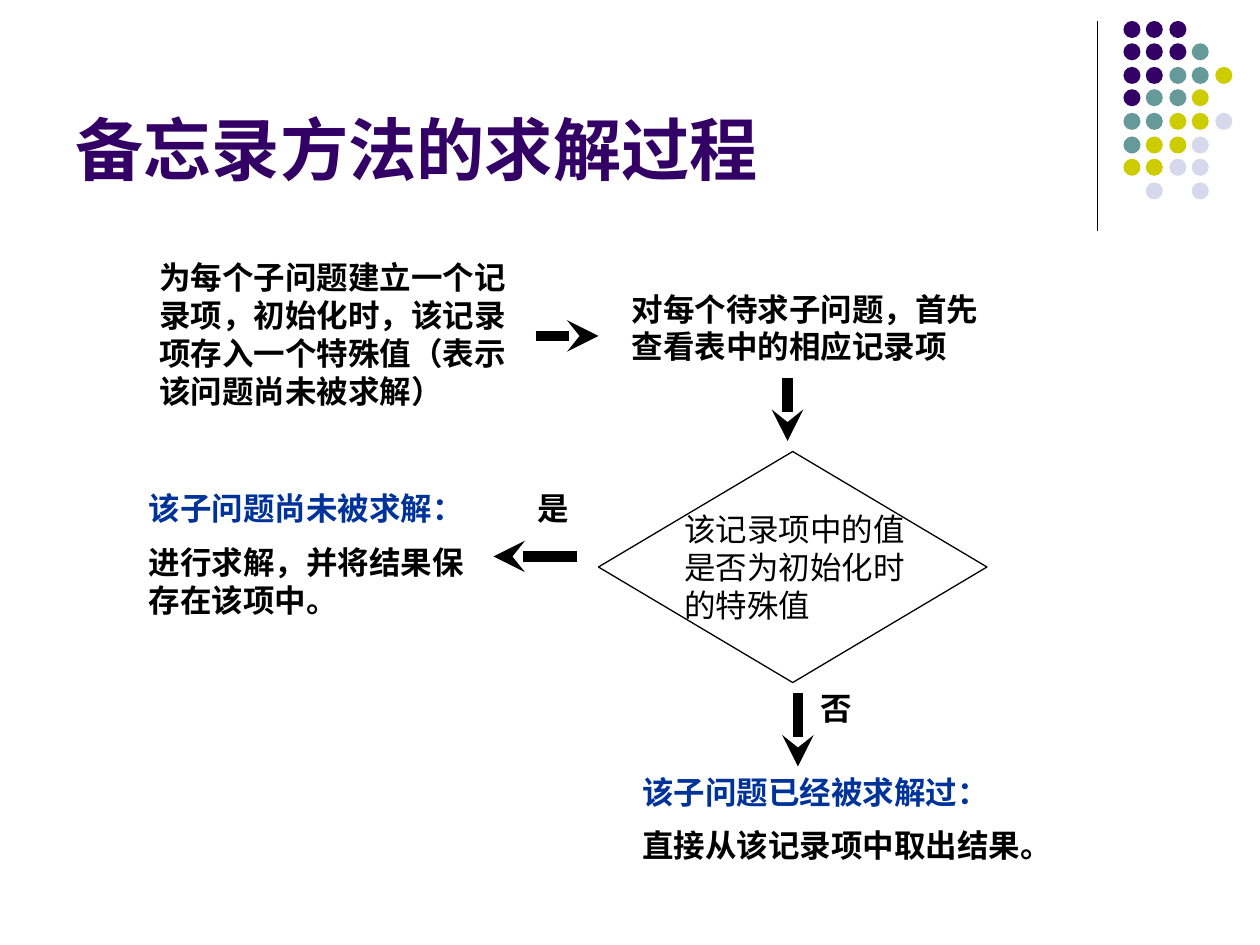
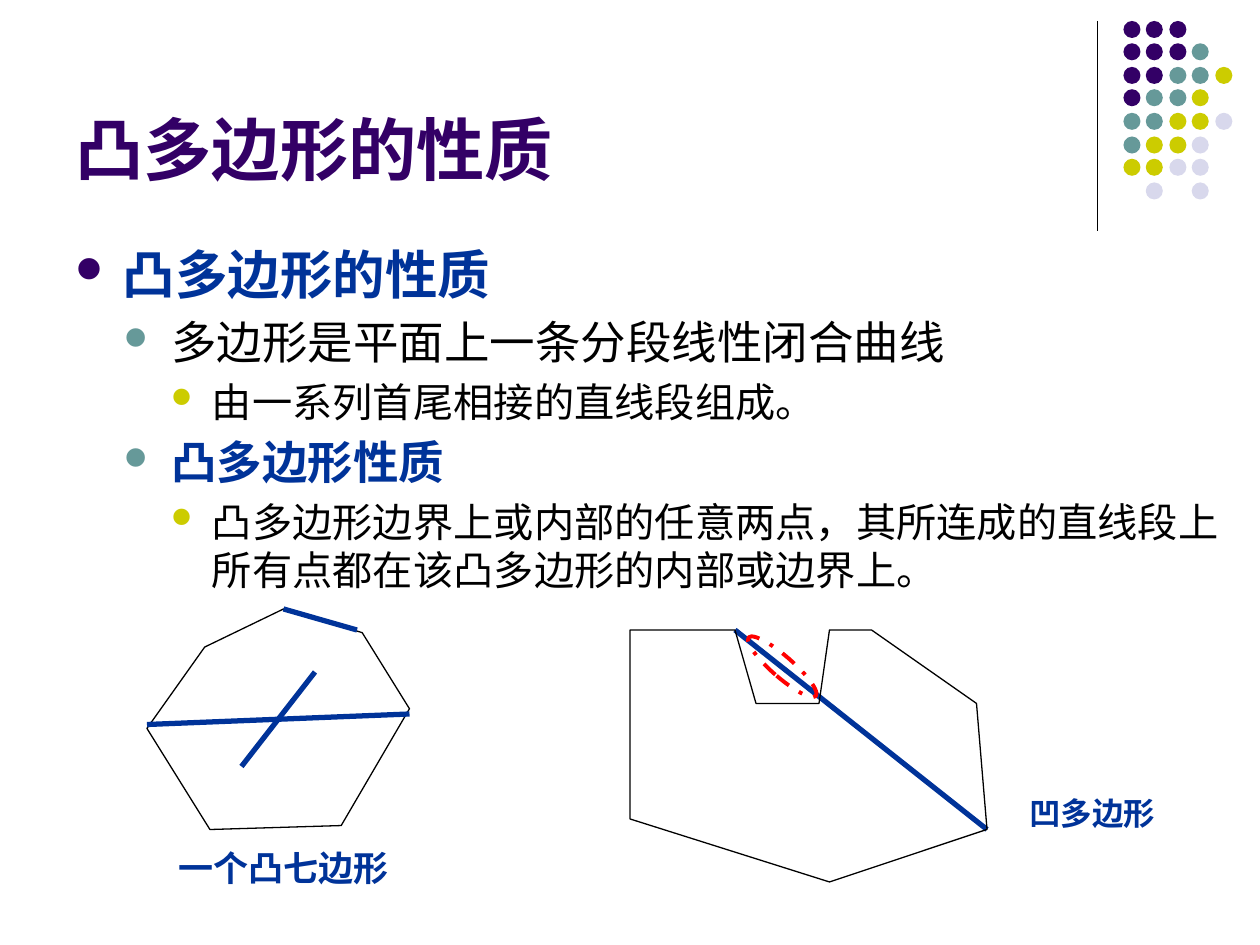
from lxml import etree
from pptx import Presentation, util as u
from pptx.dml.color import RGBColor
from pptx.enum import dml, shapes, text
from pptx.oxml.ns import qn

PX = 9525
FONT = "Arial"
COLORS = {
    "purple": "330066", "teal": "669999", "olive": "CCCC00", "lilac": "D8D8EC",
    "blue": "003399", "black": "000000", "red": "FF0000",
}
RGB = {name: RGBColor.from_string(value) for name, value in COLORS.items()}
DOT_COLORS = {"P": "purple", "T": "teal", "O": "olive", "L": "lilac"}
DOT_ROWS = ["PPP", "PPPT", "PPTTO", "PTTO", "TTOOL", "TOOL", "OOLL", " L L"]


def add_text(slide, box, lines, size=18, bold=True, align=None):
    shape = slide.shapes.add_textbox(*[value * PX for value in box])
    frame = shape.text_frame
    frame.word_wrap = True
    frame.text = "\n".join(line for line, color in lines)
    for index, (paragraph, (line, color)) in enumerate(zip(frame.paragraphs, lines)):
        paragraph.alignment = align
        if index:
            paragraph.space_before = u.Pt(size / 2)
        font = paragraph.runs[0].font
        font.name, font.size, font.bold = FONT, u.Pt(size), bold
        font.color.rgb = RGB[color]
    return shape


def add_line(slide, ends, color, width, arrow=False):
    line = slide.shapes.add_connector(
        shapes.MSO_CONNECTOR.STRAIGHT, *[value * PX for value in ends])
    line.line.color.rgb = RGB[color]
    line.line.width = u.Pt(width)
    if arrow:
        etree.SubElement(line.line._get_or_add_ln(), qn("a:tailEnd"), type="stealth")
    etree.SubElement(line._element.spPr, qn("a:effectLst"))


presentation = Presentation()
presentation.slide_width = 960 * PX
presentation.slide_height = 720 * PX

for title in ["备忘录方法的求解过程", "凸多边形的性质"]:
    slide = presentation.slides.add_slide(presentation.slide_layouts[6])
    add_line(slide, (836, 16, 836, 176), "black", 0.75)
    for row, dots in enumerate(DOT_ROWS):
        for column, dot in enumerate(dots):
            if dot == " ":
                continue
            left, top = 856 + column * 88 // 5, 16 + row * 88 // 5
            shape = slide.shapes.add_shape(
                shapes.MSO_SHAPE.OVAL, left * PX, top * PX, 13 * PX, 13 * PX)
            shape.shadow.inherit = False
            shape.fill.solid()
            shape.fill.fore_color.rgb = RGB[DOT_COLORS[dot]]
            shape.line.fill.background()
    heading = add_text(slide, (48, 12, 792, 137), [(title, "purple")], size=39)
    heading.text_frame.vertical_anchor = text.MSO_ANCHOR.BOTTOM

memo_slide, polygon_slide = presentation.slides

diamond = memo_slide.shapes.add_shape(
    shapes.MSO_SHAPE.DIAMOND, 456 * PX, 344 * PX, 296 * PX, 176 * PX)
diamond.shadow.inherit = False
diamond.fill.background()
diamond.line.color.rgb = RGB["black"]
diamond.line.width = u.Pt(0.75)
add_text(memo_slide, (512, 384, 192, 96),
         [("该记录项中的值是否为初始化时的特殊值", "black")], bold=False)

steps = [
    ((112, 192, 288, 125),
     [("为每个子问题建立一个记录项，初始化时，该记录项存入一个特殊值（表示该问题尚未被求解）", "black")]),
    ((472, 216, 288, 67), [("对每个待求子问题，首先查看表中的相应记录项", "black")]),
    ((104, 368, 272, 110),
     [("该子问题尚未被求解：", "blue"), ("进行求解，并将结果保存在该项中。", "black")]),
    ((480, 584, 352, 82),
     [("该子问题已经被求解过：", "blue"), ("直接从该记录项中取出结果。", "black")]),
    ((400, 368, 48, 38), [("是", "black")]),
    ((616, 520, 48, 38), [("否", "black")]),
]
for box, lines in steps:
    add_text(memo_slide, box, lines)

for ends in [(408, 256, 456, 256), (600, 288, 600, 336),
             (440, 424, 376, 424), (608, 528, 608, 584)]:
    add_line(memo_slide, ends, "black", 6, arrow=True)

levels = [
    (30, 36, 36, "purple"),
    (26, 73, 36, "teal"),
    (23, 104, 31, "olive"),
]
outline = [
    (0, "凸多边形的性质", "blue"),
    (1, "多边形是平面上一条分段线性闭合曲线", "black"),
    (2, "由一系列首尾相接的直线段组成。", "black"),
    (1, "凸多边形性质", "blue"),
    (2, "凸多边形边界上或内部的任意两点，其所连成的直线段上所有点都在该凸多边形的内部或边界上。", "black"),
]
body = add_text(polygon_slide, (48, 180, 896, 300),
                [(line, color) for level, line, color in outline])
for paragraph, (level, line, color) in zip(body.text_frame.paragraphs, outline):
    size, margin, hanging, bullet_color = levels[level]
    paragraph.level = level
    paragraph.space_before = u.Pt(size * 0.2 if level else 0)
    paragraph.runs[0].font.size = u.Pt(size)
    paragraph.runs[0].font.bold = color == "blue"
    properties = paragraph._p.get_or_add_pPr()
    properties.set("marL", str(margin * PX))
    properties.set("indent", str(-hanging * PX))
    bullet = etree.SubElement(properties, qn("a:buClr"))
    etree.SubElement(bullet, qn("a:srgbClr"), val=COLORS[bullet_color])
    etree.SubElement(properties, qn("a:buSzPct"), val="70000")
    etree.SubElement(properties, qn("a:buFont"), typeface="Wingdings")
    etree.SubElement(properties, qn("a:buChar"), char="l")

add_line(polygon_slide, (560, 480, 752, 632), "blue", 3)
ellipse = polygon_slide.shapes.add_shape(
    shapes.MSO_SHAPE.OVAL, 588 * PX, 474 * PX, 16 * PX, 68 * PX)
ellipse.rotation = 311.1
ellipse.shadow.inherit = False
ellipse.fill.background()
ellipse.line.color.rgb = RGB["red"]
ellipse.line.width = u.Pt(2.25)
ellipse.line.dash_style = dml.MSO_LINE.DASH_DOT

heptagon = [(160, 632), (112, 555), (156, 493), (216, 464),
            (276, 482), (312, 540), (260, 629)]
concave = [(480, 624), (480, 480), (560, 480), (576, 536), (624, 536),
           (632, 480), (664, 480), (744, 536), (752, 632), (632, 672)]
for points in [heptagon, concave]:
    builder = polygon_slide.shapes.build_freeform(*points[0], scale=PX)
    builder.add_line_segments(points[1:], close=True)
    polygon = builder.convert_to_shape()
    polygon.shadow.inherit = False
    polygon.fill.background()
    polygon.line.color.rgb = RGB["black"]
    polygon.line.width = u.Pt(0.75)

for box, caption, size in [((88, 640, 256, 41), "一个凸七边形", 20),
                           ((768, 600, 128, 38), "凹多边形", 18)]:
    add_text(polygon_slide, box, [(caption, "blue")], size, align=text.PP_ALIGN.CENTER)

for ends in [(112, 552, 312, 544), (240, 512, 184, 584), (216, 464, 272, 480)]:
    add_line(polygon_slide, ends, "blue", 3)

presentation.save("out.pptx")
